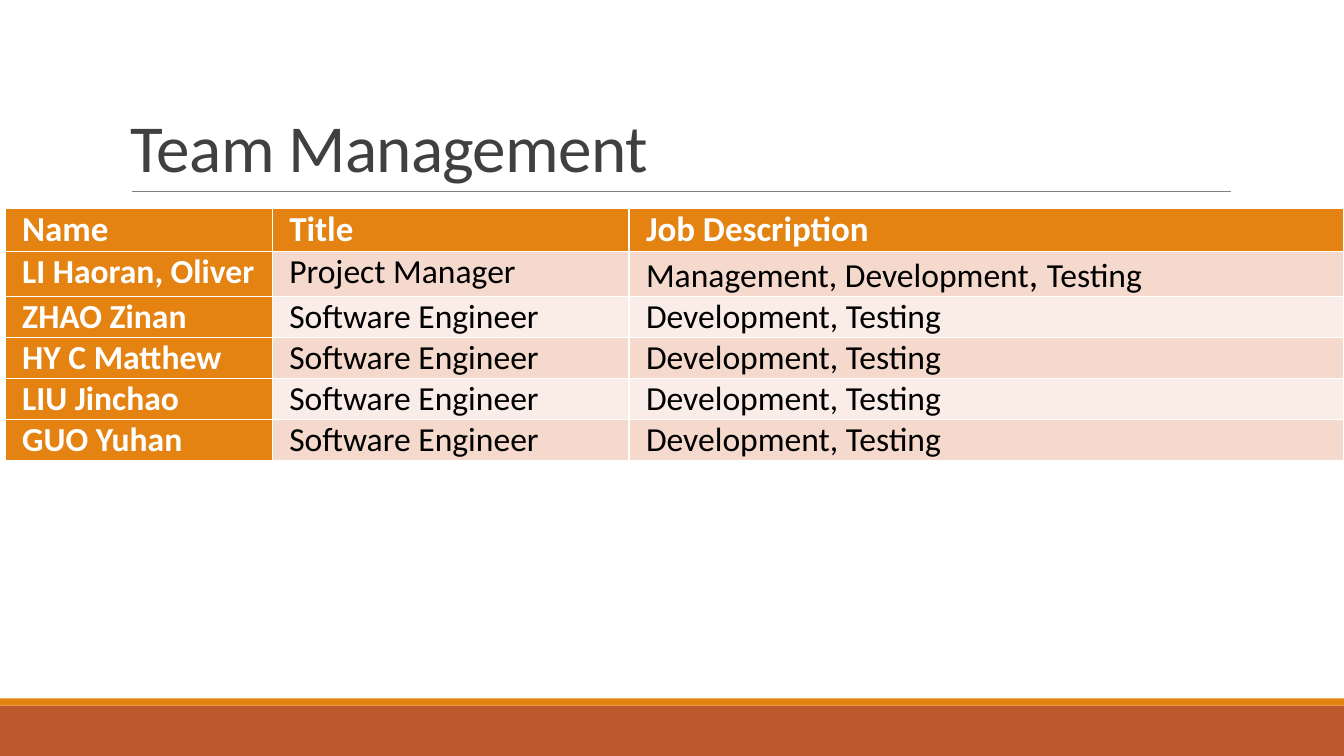
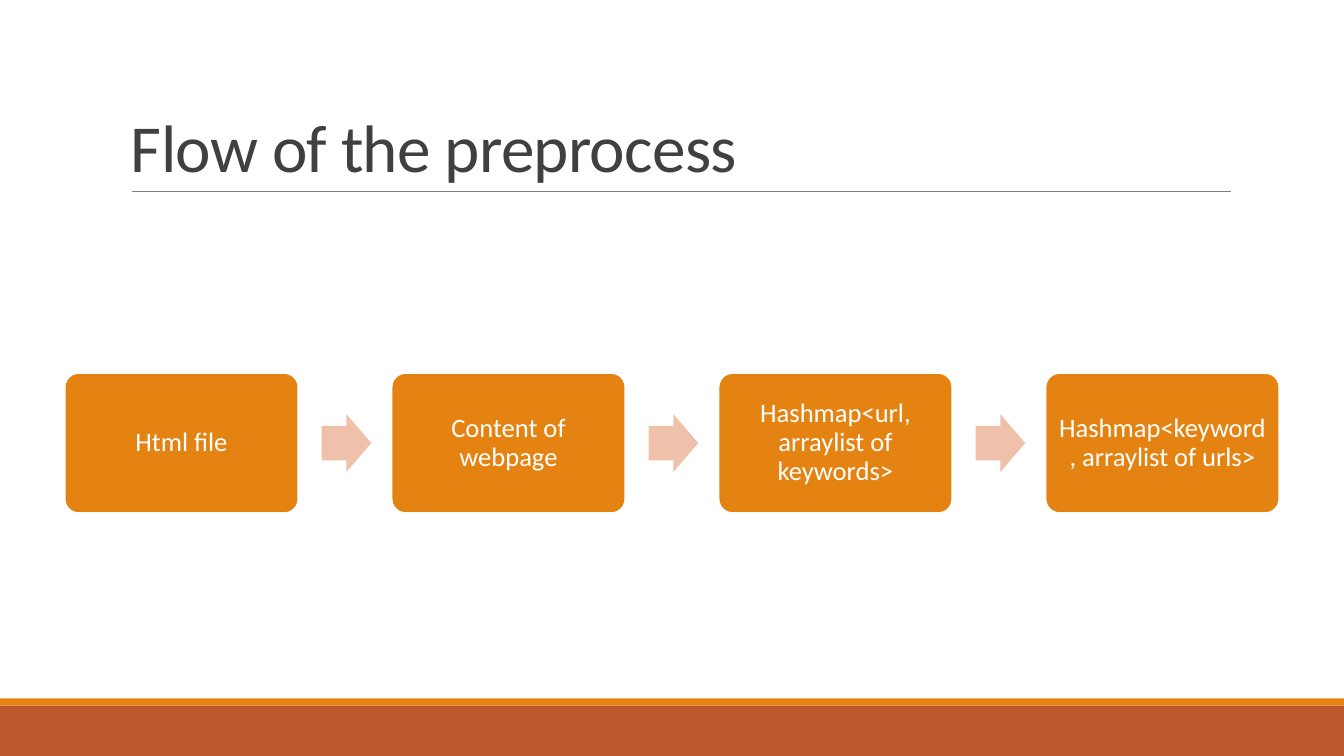
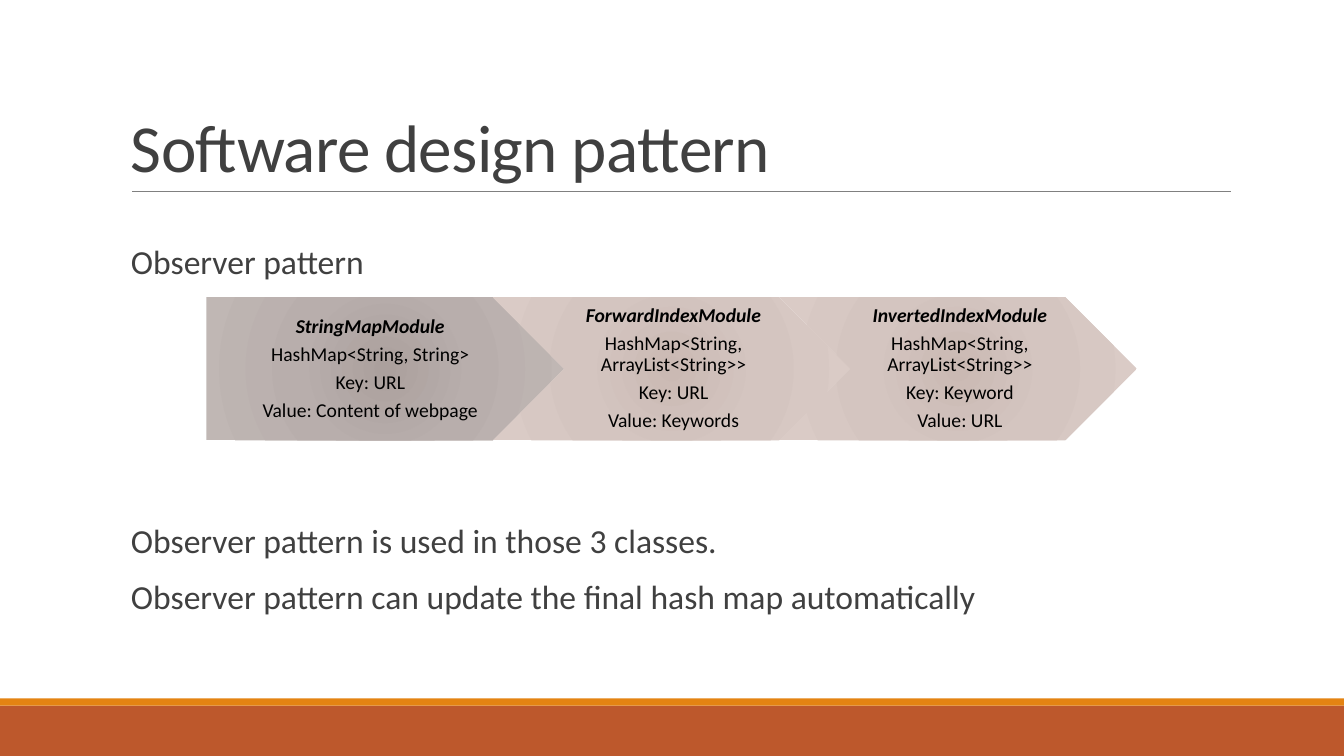
from dataclasses import dataclass

from pptx import Presentation
from pptx.dml.color import RGBColor
from pptx.enum.shapes import MSO_CONNECTOR, MSO_SHAPE
from pptx.enum.text import MSO_ANCHOR, PP_ALIGN
from pptx.oxml import parse_xml
from pptx.oxml.ns import nsdecls, qn
from pptx.util import Cm, Pt

RECTANGLE = MSO_SHAPE.RECTANGLE
ROUNDED = MSO_SHAPE.ROUNDED_RECTANGLE
RIGHT_ARROW = MSO_SHAPE.RIGHT_ARROW
PENTAGON = MSO_SHAPE.PENTAGON
CHEVRON = MSO_SHAPE.CHEVRON
STRAIGHT = MSO_CONNECTOR.STRAIGHT
TOP, MIDDLE, BOTTOM = MSO_ANCHOR.TOP, MSO_ANCHOR.MIDDLE, MSO_ANCHOR.BOTTOM
LEFT, CENTER = PP_ALIGN.LEFT, PP_ALIGN.CENTER


@dataclass(frozen=True)
class Theme:
    font: str = "Calibri"
    orange: str = "E48312"
    rust: str = "BD582C"
    peach: str = "EFC1AB"
    band_dark: str = "F5D9CC"
    band_light: str = "FAEDE7"
    ink: str = "404040"
    rule: str = "808080"
    white: str = "FFFFFF"
    black: str = "000000"
    first_stage: tuple = ("ABA09D", "B8AEAC", "C0B7B4")
    later_stage: tuple = ("CAB9B3", "D4C5C0", "DACBC6")
    title_size: float = 48
    header_size: float = 25
    body_size: float = 24
    separator_size: float = 27
    step_size: float = 19
    stage_size: float = 14


THEME = Theme()
SLIDE_W, SLIDE_H = 33.87, 19.05

TEAM_HEADER = ("Name", "Title", "Job Description")
TEAM = (
    ("LI Haoran, Oliver", "Project Manager", ("Management, Development", ", ", "Testing")),
    *(
        (name, "Software Engineer", "Development, Testing")
        for name in ("ZHAO Zinan", "HY C Matthew", "LIU Jinchao", "GUO Yuhan")
    ),
)
FLOW_STEPS = (
    "Html file",
    "Content of webpage",
    "Hashmap<url, arraylist of keywords>",
    "Hashmap<keyword, arraylist of urls>",
)
STAGES = (
    ("StringMapModule", "HashMap<String, String>", "Key: URL", "Value: Content of webpage"),
    ("ForwardIndexModule", "HashMap<String, ArrayList<String>>", "Key: URL", "Value: Keywords"),
    ("InvertedIndexModule", "HashMap<String, ArrayList<String>>", "Key: Keyword", "Value: URL"),
)


def rgb(color):
    return RGBColor.from_string(color)


def style_font(font, size, color, bold=False, italic=False):
    font.name = THEME.font
    font.size = Pt(size)
    font.color.rgb = rgb(color)
    font.bold = bold
    font.italic = italic


def write_lines(frame, lines, size, color, align=LEFT, anchor=TOP,
                insets=(0, 0, 0, 0), spacing=0.9, before=0, after=0):
    frame.word_wrap = True
    frame.vertical_anchor = anchor
    frame.margin_left, frame.margin_top, frame.margin_right, frame.margin_bottom = map(Cm, insets)
    frame.text = "\n".join(lines)
    for paragraph in frame.paragraphs:
        paragraph.alignment = align
        paragraph.line_spacing = spacing
        paragraph.space_before = Pt(before)
        paragraph.space_after = Pt(after)
        style_font(paragraph.font, size, color)


def add_block(slide, kind, left, top, width, height, fill=None, line=None):
    block = slide.shapes.add_shape(kind, Cm(left), Cm(top), Cm(width), Cm(height))
    block.shadow.inherit = False
    if fill:
        block.fill.solid()
        block.fill.fore_color.rgb = rgb(fill)
    if line:
        block.line.color.rgb = rgb(line)
        block.line.width = Pt(1.25)
    else:
        block.line.fill.background()
    return block


def fill_radial(block, colors):
    stops = "".join(
        f'<a:gs pos="{position}"><a:srgbClr val="{color}"/></a:gs>'
        for position, color in zip((0, 45000, 100000), colors)
    )
    block.fill.gradient()
    properties = block._element.spPr
    properties.replace(properties.find(qn("a:gradFill")), parse_xml(
        f'<a:gradFill {nsdecls("a")} rotWithShape="1"><a:gsLst>{stops}</a:gsLst>'
        '<a:path path="circle"><a:fillToRect l="100000" t="100000" r="100000" b="100000"/>'
        '</a:path></a:gradFill>'))


def add_text(slide, left, top, width, height, lines, size, **layout):
    box = slide.shapes.add_textbox(Cm(left), Cm(top), Cm(width), Cm(height))
    write_lines(box.text_frame, lines, size, THEME.ink, **layout)
    return box


def add_titled_slide(prs, title):
    slide = prs.slides.add_slide(prs.slide_layouts[6])
    add_block(slide, RECTANGLE, 0, 17.78, SLIDE_W, 1.27, THEME.rust)
    add_block(slide, RECTANGLE, 0, 17.6, SLIDE_W, 0.18, THEME.orange)
    rule = slide.shapes.add_connector(STRAIGHT, Cm(3.33), Cm(4.83), Cm(31.01), Cm(4.83))
    rule.line.color.rgb = rgb(THEME.rule)
    rule.line.width = Pt(0.5)
    rule._element.spPr.append(parse_xml(f'<a:effectLst {nsdecls("a")}/>'))
    heading = add_text(slide, 3.05, 0.79, 27.94, 4.04, [title], THEME.title_size,
                       anchor=BOTTOM, insets=(0.25, 0.13, 0.25, 0.13), spacing=0.85)
    properties = heading.text_frame.paragraphs[0]._p.get_or_add_pPr()
    properties.get_or_add_defRPr().set("spc", "-50")
    return slide


def fill_cell(cell, content, size, color, bold, fill):
    cell.fill.solid()
    cell.fill.fore_color.rgb = rgb(fill)
    cell.margin_left = cell.margin_right = Cm(0.43)
    cell.margin_top = cell.margin_bottom = 0
    paragraph = cell.text_frame.paragraphs[0]
    style_font(paragraph.font, size, color, bold)
    for part in (content,) if isinstance(content, str) else content:
        run = paragraph.add_run()
        run.text = part
        if part == ", ":
            run.font.size = Pt(THEME.separator_size)


def add_team_table(slide):
    widths = (6.73, 8.99, 18.01)
    heights = (1.07, 1.14, 1.03, 1.03, 1.03, 1.03)
    table = slide.shapes.add_table(len(heights), len(widths), Cm(0.13), Cm(5.26),
                                   Cm(sum(widths)), Cm(sum(heights))).table
    table.first_col = True
    table.horz_banding = False
    for column, width in zip(table.columns, widths):
        column.width = Cm(width)
    for r, (height, entries) in enumerate(zip(heights, (TEAM_HEADER, *TEAM))):
        table.rows[r].height = Cm(height)
        band = THEME.band_dark if r % 2 else THEME.band_light
        size = THEME.body_size if r else THEME.header_size
        for c, content in enumerate(entries):
            accent = r == 0 or c == 0
            fill_cell(table.cell(r, c), content, size,
                      THEME.white if accent else THEME.black, accent,
                      THEME.orange if accent else band)


def add_flow(slide):
    left, top, width, height, gap = 1.63, 9.4, 5.89, 3.53, 2.35
    arrow_w, arrow_h = 1.25, 1.45
    for i, label in enumerate(FLOW_STEPS):
        x = left + i * (width + gap)
        if i:
            arrow = add_block(slide, RIGHT_ARROW, x - gap * 0.75, top + (height - arrow_h) / 2,
                              arrow_w, arrow_h, THEME.peach)
            arrow.adjustments[0] = 0.6
        step = add_block(slide, ROUNDED, x, top, width, height, THEME.orange, THEME.white)
        step.adjustments[0] = 0.1
        write_lines(step.text_frame, [label], THEME.step_size, THEME.white,
                    CENTER, MIDDLE, (0.2, 0.2, 0.2, 0.2))


def add_stages(slide):
    left, top, width, height = 5.2, 7.49, 9.02, 3.61
    for i, lines in enumerate(STAGES):
        stage = add_block(slide, CHEVRON if i else PENTAGON,
                          left + i * width * 0.8, top, width, height)
        fill_radial(stage, THEME.later_stage if i else THEME.first_stage)
        write_lines(stage.text_frame, lines, THEME.stage_size, THEME.black, CENTER, MIDDLE,
                    (0.15 if i else 0.2, 0.1, 0.05, 0.1), after=THEME.stage_size * 0.35)
        module_name = stage.text_frame.paragraphs[0].font
        module_name.bold = module_name.italic = True


def add_body(slide, top, height, lines):
    add_text(slide, 3.3, top, 28.96, height, lines, THEME.body_size,
             insets=(0, 0.13, 0, 0.13), before=12, after=2)


def main():
    prs = Presentation()
    prs.slide_width, prs.slide_height = Cm(SLIDE_W), Cm(SLIDE_H)

    add_team_table(add_titled_slide(prs, "Team Management"))

    add_flow(add_titled_slide(prs, "Flow of the preprocess"))

    pattern = add_titled_slide(prs, "Software design pattern")
    add_body(pattern, 6.05, 1.3, ["Observer pattern"])
    add_stages(pattern)
    add_body(pattern, 13.08, 3.2, [
        "Observer pattern is used in those 3 classes.",
        "Observer pattern can update the final hash map automatically",
    ])

    prs.save("out.pptx")


if __name__ == "__main__":
    main()
